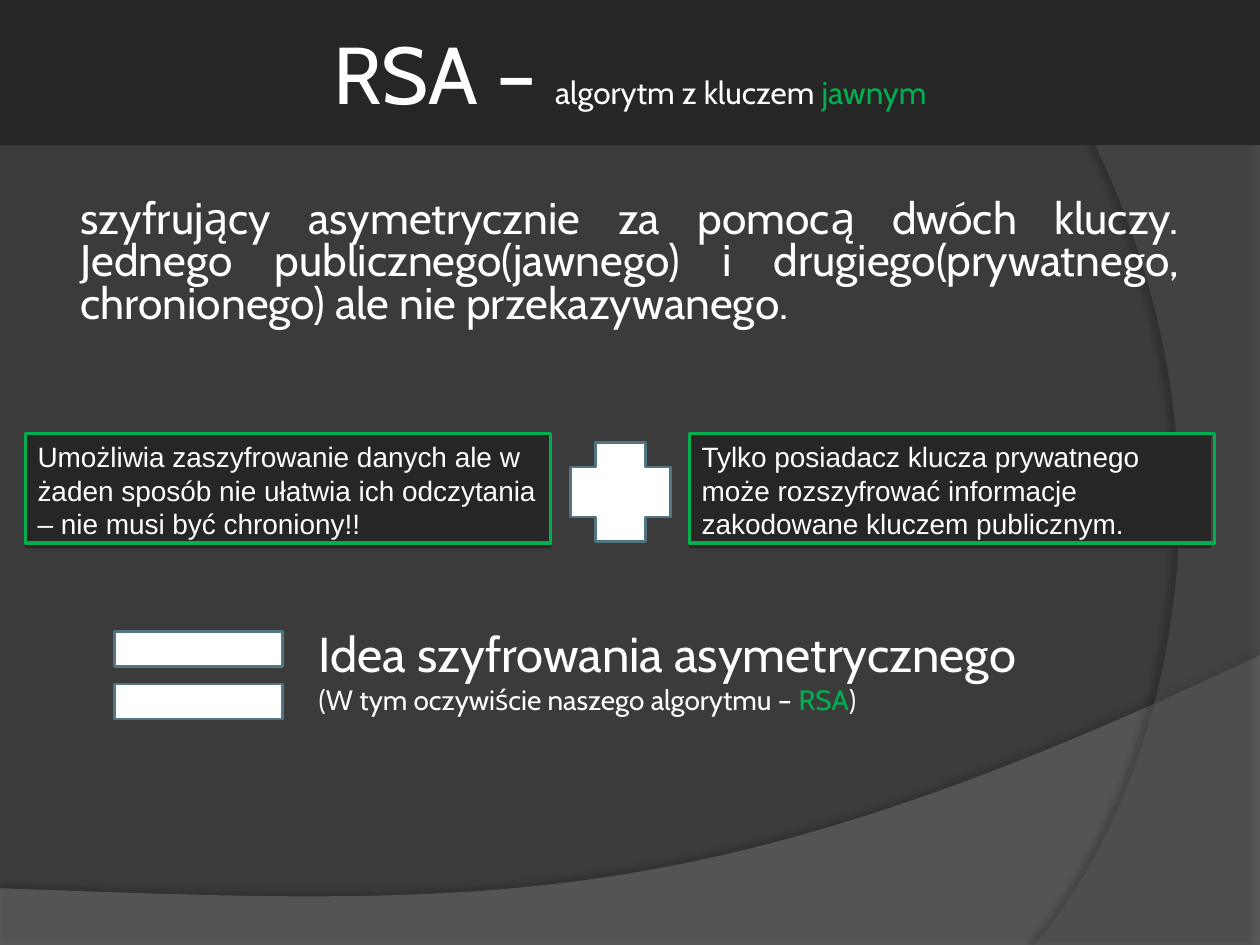
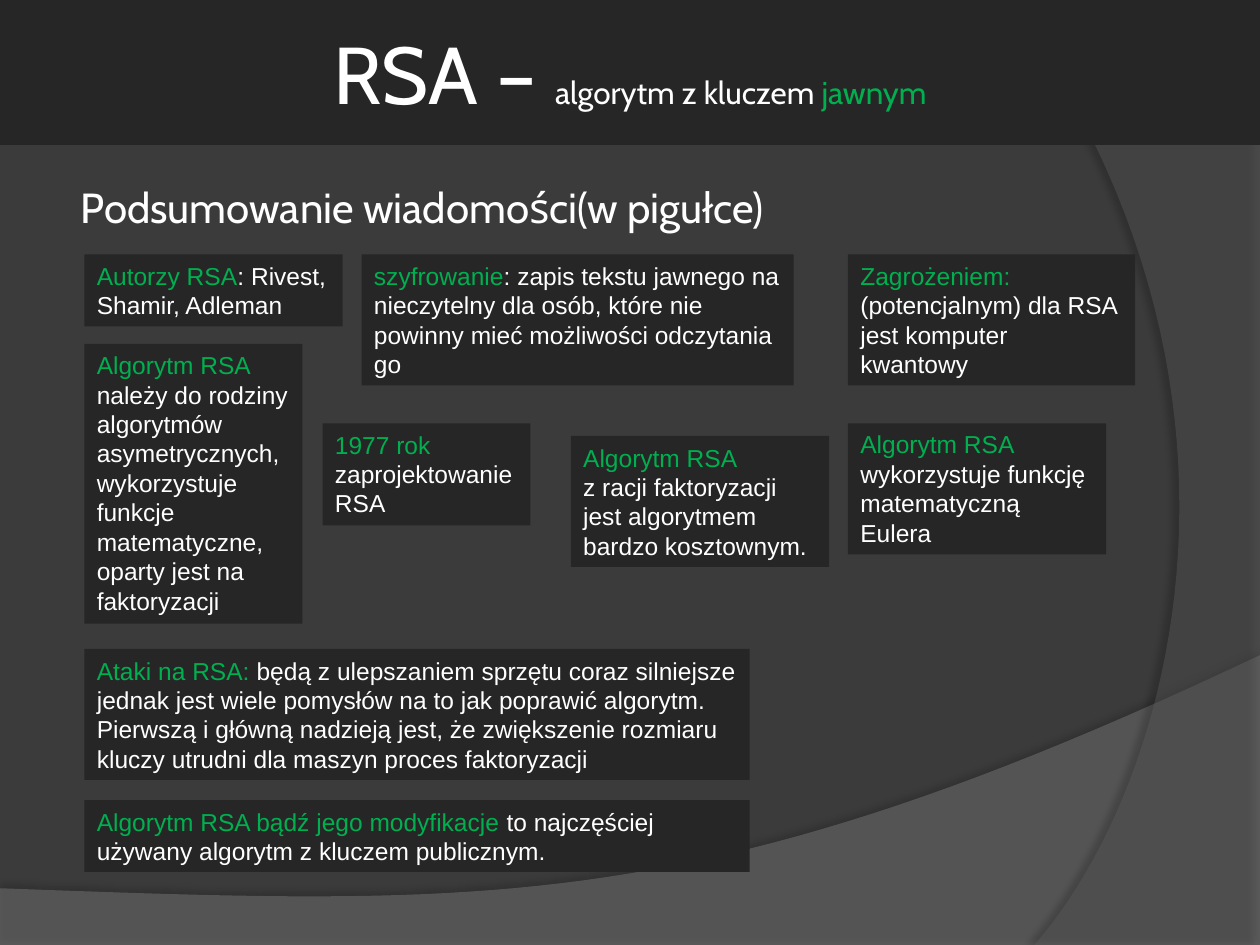
from lxml.etree import SubElement
from pptx import Presentation
from pptx.dml.color import RGBColor
from pptx.enum.shapes import MSO_SHAPE
from pptx.enum.text import MSO_ANCHOR, PP_ALIGN
from pptx.oxml.ns import qn
from pptx.util import Inches, Pt

C = {"bg": "3B3B3B", "panel": "262626", "white": "FFFFFF", "green": "00B050",
     "steel": "517682", "hill": "7F7F7F", "arc": "5E5E5E", "black": "000000"}
TOP, MIDDLE = MSO_ANCHOR.TOP, MSO_ANCHOR.MIDDLE


def add_text(s, at, paragraphs, font="Arial", size=14, fill=None, anchor=TOP,
             align=PP_ALIGN.LEFT, spacing=None, inset=None, wrap=True):
    box = [Inches(v) for v in at]
    if fill:
        sp = s.shapes.add_shape(MSO_SHAPE.RECTANGLE, *box)
        sp.shadow.inherit = False
        sp.fill.solid()
        sp.fill.fore_color.rgb = RGBColor.from_string(C[fill])
        sp.line.fill.background()
    else:
        sp = s.shapes.add_textbox(*box)
    tf = sp.text_frame
    tf.word_wrap = wrap
    tf.vertical_anchor = anchor
    if inset is not None:
        tf.margin_left = tf.margin_right = tf.margin_top = tf.margin_bottom = Inches(inset)
    for i, runs in enumerate(paragraphs):
        p = tf.paragraphs[0] if i == 0 else tf.add_paragraph()
        p.alignment = align
        if spacing:
            p.line_spacing = spacing
        for text, color, *own_size in runs:
            for n, line in enumerate(text.split("\n")):
                if n:
                    p.add_line_break()
                if not line:
                    continue
                r = p.add_run()
                r.text = line
                r.font.name = font
                r.font.size = Pt(own_size[0] if own_size else size)
                r.font.color.rgb = RGBColor.from_string(C[color])


def add_swoosh(s, lines, curve, color, opacity, shade, distance, direction):
    points = list(lines)
    steps = 48
    for i in range(1, steps + 1):
        t = i / steps
        weights = ((1 - t) ** 3, 3 * t * (1 - t) ** 2, 3 * t * t * (1 - t), t ** 3)
        control = [lines[-1], *curve]
        points.append([sum(w * c[k] for w, c in zip(weights, control)) for k in (0, 1)])
    emu = [(Inches(x), Inches(y)) for x, y in points]
    fb = s.shapes.build_freeform(*emu[0], scale=1.0)
    fb.add_line_segments(emu[1:], close=True)
    sp = fb.convert_to_shape()
    sp.shadow.inherit = False
    sp.fill.solid()
    sp.fill.fore_color.rgb = RGBColor.from_string(C[color])
    sp.line.fill.background()
    spPr = sp.fill._xPr
    SubElement(spPr.find(".//" + qn("a:srgbClr")), qn("a:alpha"), val=str(opacity * 1000))
    shadow = SubElement(spPr.find(qn("a:effectLst")), qn("a:outerShdw"),
                        blurRad=str(Pt(4)), dist=str(Pt(distance)),
                        dir=str(direction * 60000), algn="ctr", rotWithShape="0")
    clr = SubElement(shadow, qn("a:srgbClr"), val=C["black"])
    SubElement(clr, qn("a:alpha"), val=str(shade * 1000))


prs = Presentation()
prs.slide_width, prs.slide_height = Inches(10), Inches(7.5)
title = [[("RSA – ", "white", 46), ("algorytm z kluczem ", "white", 18), ("jawnym", "green", 18)]]

for _ in range(2):
    s = prs.slides.add_slide(prs.slide_layouts[6])
    s.background.fill.solid()
    s.background.fill.fore_color.rgb = RGBColor.from_string(C["bg"])
    add_swoosh(s, [(0, 7.05), (0, 7.51), (10, 7.51), (10, 5.2)],
               [(5.59, 7.29), (3.91, 7.19), (0, 7.05)], "hill", 45, 35, 3.5, 270)
    add_swoosh(s, [(10, 0.02), (10, 7.5), (8.21, 7.5)],
               [(9.35, 6.19), (10.18, 3), (8, 0)], "arc", 40, 45, 4, 180)
    add_text(s, (0, 0, 10, 1.15), title, font="Cabin", fill="panel",
             anchor=MIDDLE, align=PP_ALIGN.CENTER, inset=0.05)

idea, summary = prs.slides

add_text(idea, (0.59, 1.47, 8.82, 1.25),
         [[("szyfrujący asymetrycznie za pomocą dwóch kluczy. Jednego publicznego(jawnego) "
            "i drugiego(prywatnego, chronionego) ale nie przekazywanego.", "white")]],
         font="Cabin", size=25.3, anchor=MIDDLE, align=PP_ALIGN.JUSTIFY, spacing=0.8, inset=0.05)

keys = [
    (0.2, 4.17, "Umożliwia zaszyfrowanie danych ale w żaden sposób nie ułatwia ich odczytania "
                "– nie musi być chroniony!!"),
    (5.47, 4.14, "Tylko posiadacz klucza prywatnego może rozszyfrować informacje "
                 "zakodowane kluczem publicznym."),
]
for x, w, text in keys:
    add_text(idea, (x, 3.44, w, 0.91), [[(text, "white")]], size=16, fill="panel")

symbols = [
    (MSO_SHAPE.CROSS, (4.53, 3.51, 0.79, 0.79), "white", "steel", 1.5),
    (MSO_SHAPE.RECTANGLE, (0.2, 3.44, 4.17, 0.87), None, "green", 1.75),
    (MSO_SHAPE.RECTANGLE, (5.47, 3.44, 4.17, 0.87), None, "green", 1.75),
    (MSO_SHAPE.MATH_EQUAL, (0.67, 4.77, 1.81, 1.18), "white", "steel", 1.5),
]
for kind, at, fill, line, width in symbols:
    sp = idea.shapes.add_shape(kind, *[Inches(v) for v in at])
    sp.shadow.inherit = False
    if fill:
        sp.fill.solid()
        sp.fill.fore_color.rgb = RGBColor.from_string(C[fill])
    else:
        sp.fill.background()
    sp.line.color.rgb = RGBColor.from_string(C[line])
    sp.line.width = Pt(width)

add_text(idea, (2.48, 4.69, 7.4, 1.25),
         [[("Idea szyfrowania asymetrycznego\n", "white", 28),
           ("(W tym oczywiście naszego algorytmu – ", "white"), ("RSA", "green"), (")", "white")]],
         font="Cabin", size=16, anchor=MIDDLE, inset=0.05)

add_text(summary, (0.59, 1.39, 8.82, 0.55), [[("Podsumowanie wiadomości(w pigułce)", "white")]],
         font="Cabin", size=24, inset=0.05)

facts = [
    ((0.67, 2.02, 2.05, 0.57), TOP, True,
     [[("Autorzy RSA", "green"), (": Rivest, Shamir, Adleman", "white")]]),
    ((2.87, 2.02, 3.43, 1.04), TOP, False,
     [[("szyfrowanie", "green"),
       (": zapis tekstu jawnego na\nnieczytelny dla osób, które nie", "white")],
      [("powinny mieć możliwości odczytania", "white")],
      [("go", "white")]]),
    ((2.56, 3.36, 1.65, 0.81), TOP, True,
     [[("1977 rok", "green"), (" zaprojektowanie RSA", "white")]]),
    ((0.67, 2.73, 1.73, 2.22), TOP, True,
     [[("Algorytm RSA ", "green"),
       ("należy do rodziny algorytmów asymetrycznych, wykorzystuje funkcje matematyczne, "
        "oparty jest na faktoryzacji", "white")]]),
    ((4.53, 3.46, 2.05, 1.04), MIDDLE, True,
     [[("Algorytm RSA", "green")],
      [("z racji faktoryzacji jest algorytmem bardzo kosztownym.", "white")]]),
    ((6.73, 2.02, 2.28, 1.04), TOP, True,
     [[("Zagrożeniem: \n", "green"),
       ("(potencjalnym) dla RSA jest komputer \nkwantowy", "white")]]),
    ((6.73, 3.36, 2.05, 1.04), TOP, True,
     [[("Algorytm RSA ", "green"), ("wykorzystuje funkcję matematyczną Eulera", "white")]]),
    ((0.67, 5.15, 5.28, 1.04), MIDDLE, True,
     [[("Ataki na RSA: ", "green"),
       ("będą z ulepszaniem sprzętu coraz silniejsze jednak jest wiele pomysłów na to "
        "jak poprawić algorytm. Pierwszą i główną nadzieją jest, że zwiększenie rozmiaru "
        "kluczy utrudni dla maszyn proces faktoryzacji", "white")]]),
    ((0.67, 6.35, 5.28, 0.57), MIDDLE, True,
     [[("Algorytm RSA bądź jego modyfikacje ", "green"),
       ("to najczęściej używany algorytm z kluczem publicznym.", "white")]]),
]
for at, anchor, wrap, paragraphs in facts:
    add_text(summary, at, paragraphs, fill="panel", anchor=anchor, wrap=wrap)

prs.save("out.pptx")
